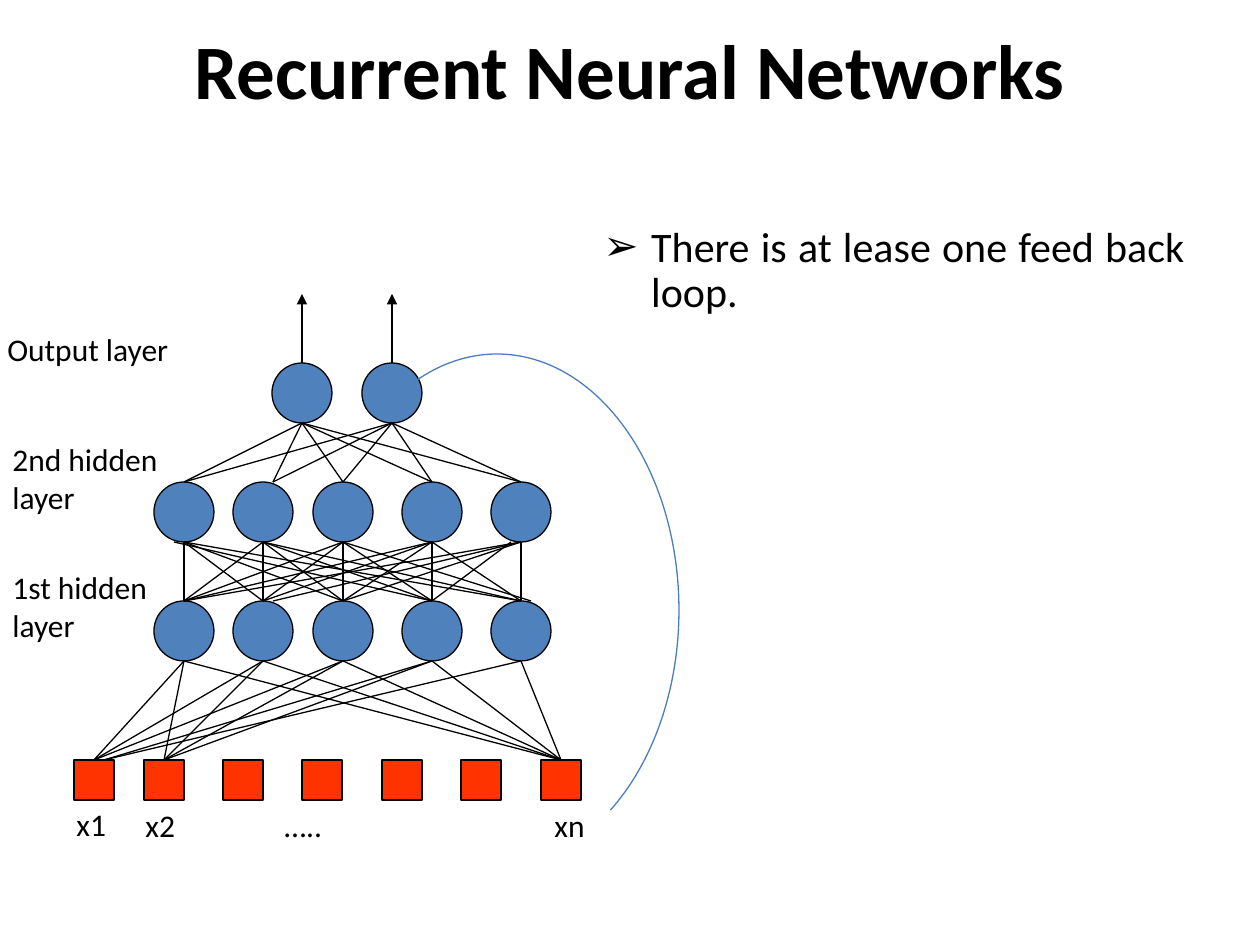
from itertools import product

from lxml import etree
from pptx import Presentation
from pptx import util as u
from pptx.dml.color import RGBColor
from pptx.enum import shapes, text
from pptx.oxml.ns import qn

PX = 914400 / 126
FONT = "Calibri"
BLACK, BLUE, RED, ARC_BLUE = "000000", "4F81BD", "FF3300", "4B7EBC"

TITLE = "Recurrent Neural Networks"
BODY = "There is at lease one feed back loop."
# text, left, top, width, height, wrap
LABELS = [
    ("x1", 64, 799, 59, 50, False),
    ("x2", 133, 800, 59, 50, False),
    ("xn", 542, 800, 59, 50, False),
    ("…..", 272, 800, 247, 50, True),
    ("1st hidden\nlayer", 0, 562, 213, 88, True),
    ("2nd hidden\nlayer", 0, 434, 213, 88, True),
    ("Output layer", -5, 324, 213, 50, True),
]

# Layers: centres across, top edge
NEURON, INPUT = 60, 40
HIDDEN_X = [184, 263, 343, 432, 521]
OUTPUT_X = [302, 392]
INPUT_X = [94, 164, 243, 322, 402, 481, 561]
OUTPUT_TOP, HIDDEN2_TOP, HIDDEN1_TOP, INPUT_TOP = 363, 482, 601, 760
ARROW_TIP = 294

# Links that miss the centre: (lower index, upper index) -> (lower shift, upper shift)
INPUT_SHIFTS = {(0, 3): (10, 0), (0, 4): (10, 0)}
HIDDEN_SHIFTS = {(4, 2): (10, 0), (1, 4): (10, 0), (3, 0): (0, -10), (3, 4): (0, -10)}
OUTPUT_SHIFTS = {(1, 0): (10, 0), (1, 1): (10, 0)}
INPUT_LINKS = [*product([0, 6], range(5)), *product([1], range(4))]


def px(*lengths):
    return [u.Emu(round(length * PX)) for length in lengths]


def color(value):
    return RGBColor.from_string(value)


def write(shape, content, size=18, bold=False, align=text.PP_ALIGN.LEFT,
          anchor=text.MSO_ANCHOR.TOP, wrap=True):
    frame = shape.text_frame
    frame.text = content
    frame.word_wrap = wrap
    frame.auto_size = text.MSO_AUTO_SIZE.NONE
    frame.vertical_anchor = anchor
    for paragraph in frame.paragraphs:
        paragraph.alignment = align
        font = paragraph.font
        for run in paragraph.runs:
            font = run.font
            font.name, font.size, font.bold = FONT, u.Pt(size), bold
            font.color.rgb = color(BLACK)
    return frame


def add_body(slide):
    box = slide.shapes.add_textbox(*px(591, 220, 606, 624))
    paragraph = write(box, BODY, size=24, align=text.PP_ALIGN.JUSTIFY).paragraphs[0]
    paragraph.line_spacing = 0.9
    paragraph.space_before = u.Pt(4.8)
    properties = paragraph._p.get_or_add_pPr()
    indent = u.Inches(0.38)
    properties.set("marL", str(indent))
    properties.set("indent", str(-indent))
    etree.SubElement(properties, qn("a:buFont")).set("typeface", "Wingdings")
    properties[-1].set("typeface", "Arial")
    etree.SubElement(properties, qn("a:buChar")).set("char", "➢")


def add_nodes(slide, kind, centres, top, size, fill):
    for centre in centres:
        node = slide.shapes.add_shape(kind, *px(centre - size / 2, top, size, size))
        node.shadow.inherit = False
        node.fill.solid()
        node.fill.fore_color.rgb = color(fill)
        node.line.color.rgb = color(BLACK)
        node.line.width = u.Pt(0.75)


def add_line(slide, start, end, arrow=False):
    line = slide.shapes.add_connector(shapes.MSO_CONNECTOR.STRAIGHT, *px(*start, *end))
    line.line.color.rgb = color(BLACK)
    line.line.width = u.Pt(0.75)
    if arrow:
        etree.SubElement(line.line._get_or_add_ln(), qn("a:tailEnd")).set("type", "triangle")
    etree.SubElement(line._element.spPr, qn("a:effectLst"))


def link_layers(slide, lower_x, lower_y, upper_x, upper_y, links, shifts):
    for low, up in links:
        low_shift, up_shift = shifts.get((low, up), (0, 0))
        add_line(slide, (lower_x[low] + low_shift, lower_y),
                 (upper_x[up] + up_shift, upper_y))


def add_feedback_loop(slide):
    arc = slide.shapes.add_shape(shapes.MSO_SHAPE.ARC, *px(315, 354, 364, 512))
    arc.shadow.inherit = False
    arc.fill.background()
    arc.line.color.rgb = color(ARC_BLUE)
    arc.line.width = u.Pt(0.75)
    for index, degrees in enumerate((250.11, 60.44)):
        arc.adjustments[index] = degrees * 0.6  # 60000 units per degree, scaled by 100000


def main():
    presentation = Presentation()
    presentation.slide_width, presentation.slide_height = px(1260, 945)
    slide = presentation.slides.add_slide(presentation.slide_layouts[5])

    title = slide.shapes.title
    title.left, title.top, title.width, title.height = px(0, 0, 1260, 137)
    write(title, TITLE, size=44, bold=True, align=text.PP_ALIGN.CENTER,
          anchor=text.MSO_ANCHOR.MIDDLE)
    add_body(slide)

    oval, square = shapes.MSO_SHAPE.OVAL, shapes.MSO_SHAPE.RECTANGLE
    add_nodes(slide, oval, HIDDEN_X, HIDDEN1_TOP, NEURON, BLUE)
    add_nodes(slide, oval, HIDDEN_X, HIDDEN2_TOP, NEURON, BLUE)
    add_nodes(slide, square, INPUT_X, INPUT_TOP, INPUT, RED)
    add_nodes(slide, oval, OUTPUT_X, OUTPUT_TOP, NEURON, BLUE)

    link_layers(slide, HIDDEN_X, HIDDEN2_TOP, OUTPUT_X, OUTPUT_TOP + NEURON,
                product(range(5), range(2)), OUTPUT_SHIFTS)
    link_layers(slide, HIDDEN_X, HIDDEN1_TOP, HIDDEN_X, HIDDEN2_TOP + NEURON,
                product(range(5), repeat=2), HIDDEN_SHIFTS)
    link_layers(slide, INPUT_X, INPUT_TOP, HIDDEN_X, HIDDEN1_TOP + NEURON,
                INPUT_LINKS, INPUT_SHIFTS)
    for x in OUTPUT_X:
        add_line(slide, (x, OUTPUT_TOP), (x, ARROW_TIP), arrow=True)

    for content, left, top, width, height, wrap in LABELS:
        write(slide.shapes.add_textbox(*px(left, top, width, height)), content, wrap=wrap)
    add_feedback_loop(slide)
    presentation.save("out.pptx")


if __name__ == "__main__":
    main()
